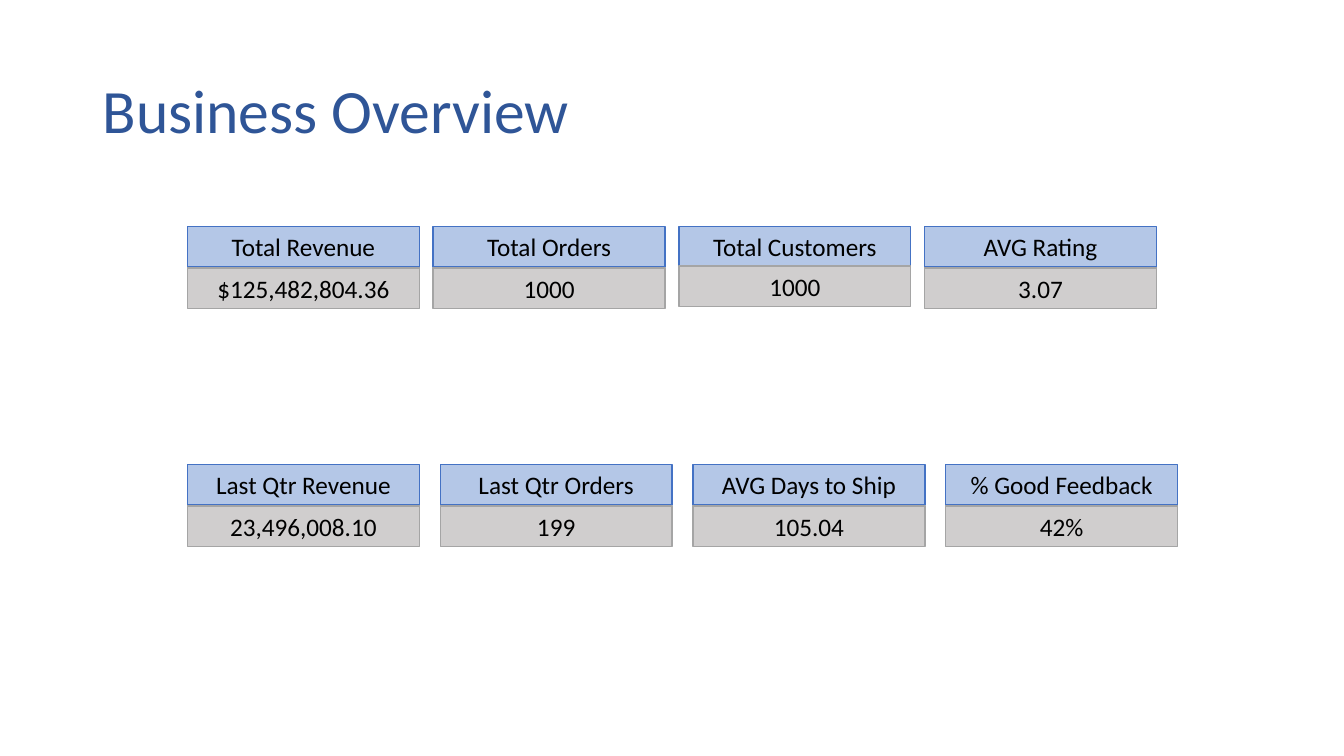
from pptx import Presentation
from pptx.dml.color import RGBColor
from pptx.enum.shapes import MSO_SHAPE
from pptx.enum.text import MSO_ANCHOR, MSO_AUTO_SIZE, PP_ALIGN
from pptx.util import Inches, Pt

FONT = "Calibri"
COLORS = {
    "title": "2F5597",
    "text": "000000",
    "label_fill": "B4C7E7",
    "label_line": "4472C4",
    "value_fill": "D0CECE",
    "value_line": "A5A5A5",
}
CARD_WIDTH = 2.3
CELL_HEIGHT = 0.4
VALUE_DROP = 0.41

# Each metric: label, value, distance from label top to value top
TOTALS = [
    ("Total Revenue", "$125,482,804.36", VALUE_DROP),
    ("Total Orders", "1000", VALUE_DROP),
    ("Total Customers", "1000", 0.39),
    ("AVG Rating", "3.07", VALUE_DROP),
]
LAST_QUARTER = [
    ("Last Qtr Revenue", "23,496,008.10", VALUE_DROP),
    ("Last Qtr Orders", "199", VALUE_DROP),
    ("AVG Days to Ship", "105.04", VALUE_DROP),
    ("% Good Feedback", "42%", VALUE_DROP),
]


def color(name):
    return RGBColor.from_string(COLORS[name])


def add_run(paragraph, text, size, color_name):
    run = paragraph.add_run()
    run.text = text
    run.font.name = FONT
    run.font.size = Pt(size)
    run.font.color.rgb = color(color_name)


def add_title(slide, text, left, top, width, height):
    shape = slide.shapes.add_textbox(
        Inches(left), Inches(top), Inches(width), Inches(height))
    frame = shape.text_frame
    frame.word_wrap = True
    frame.vertical_anchor = MSO_ANCHOR.MIDDLE
    paragraph = frame.paragraphs[0]
    paragraph.line_spacing = 0.9
    add_run(paragraph, text, 44, "title")


def add_cell(slide, text, role, left, top):
    shape = slide.shapes.add_shape(
        MSO_SHAPE.RECTANGLE, Inches(left), Inches(top),
        Inches(CARD_WIDTH), Inches(CELL_HEIGHT))
    shape.shadow.inherit = False
    shape.fill.solid()
    shape.fill.fore_color.rgb = color(f"{role}_fill")
    shape.line.color.rgb = color(f"{role}_line")
    shape.line.width = Pt(1)
    frame = shape.text_frame
    frame.word_wrap = True
    frame.auto_size = MSO_AUTO_SIZE.SHAPE_TO_FIT_TEXT
    frame.vertical_anchor = MSO_ANCHOR.TOP
    paragraph = frame.paragraphs[0]
    paragraph.alignment = PP_ALIGN.CENTER
    add_run(paragraph, text, 18, "text")


def add_metric_row(slide, metrics, left, top, width):
    """Spread the metric cards evenly over the given width."""
    pitch = (width - CARD_WIDTH) / (len(metrics) - 1)
    for index, (label, value, drop) in enumerate(metrics):
        card_left = left + index * pitch
        add_cell(slide, label, "label", card_left, top)
        add_cell(slide, value, "value", card_left, top + drop)


def main():
    presentation = Presentation()
    presentation.slide_width = Inches(13.33)
    presentation.slide_height = Inches(7.5)
    slide = presentation.slides.add_slide(presentation.slide_layouts[6])

    # Title
    add_title(slide, "Business Overview", 0.92, 0.4, 11.5, 1.45)

    # Metric rows
    add_metric_row(slide, TOTALS, 1.86, 2.25, 9.61)
    add_metric_row(slide, LAST_QUARTER, 1.86, 4.61, 9.82)

    presentation.save("out.pptx")


if __name__ == "__main__":
    main()
